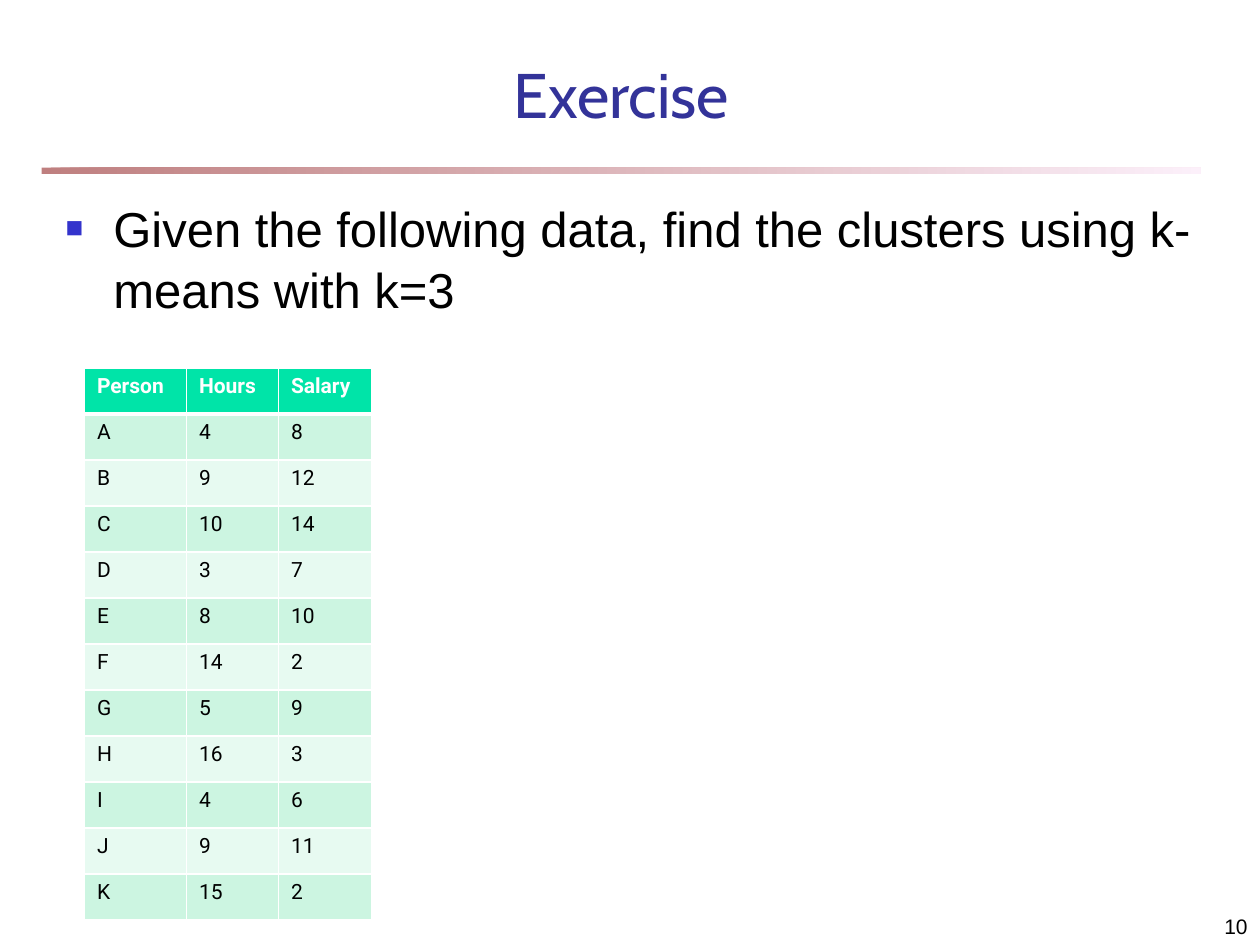
from lxml.etree import SubElement
from pptx import Presentation
from pptx.dml.color import RGBColor
from pptx.enum.shapes import MSO_SHAPE as Shape
from pptx.enum.text import MSO_ANCHOR as Anchor, PP_ALIGN as Align
from pptx.oxml.ns import qn
from pptx.util import Inches, Pt

BLACK = RGBColor(0x00, 0x00, 0x00)
WHITE = RGBColor(0xFF, 0xFF, 0xFF)
TITLE_BLUE = RGBColor(0x33, 0x33, 0x99)
BULLET_BLUE = RGBColor(0x33, 0x33, 0xCC)
RULE_RED = RGBColor(0x80, 0x00, 0x00)
RULE_PINK = RGBColor(0xFA, 0xE2, 0xF6)
HEADER_GREEN = RGBColor(0x00, 0xE4, 0xA8)
BAND_GREENS = (RGBColor(0xE7, 0xFA, 0xF1), RGBColor(0xCC, 0xF5, 0xE1))

ROWS = (
    ("Person", "Hours", "Salary"),
    ("A", 4, 8),
    ("B", 9, 12),
    ("C", 10, 14),
    ("D", 3, 7),
    ("E", 8, 10),
    ("F", 14, 2),
    ("G", 5, 9),
    ("H", 16, 3),
    ("I", 4, 6),
    ("J", 9, 11),
    ("K", 15, 2),
)
COLUMN_WIDTHS = (0.81, 0.73, 0.74)


def place(shape, box):
    """Move a shape to a box of left, top, width and height in inches."""
    shape.left, shape.top, shape.width, shape.height = map(Inches, box)


def add_span(para, text, font, size, color, bold=False):
    """Add one formatted run to a paragraph."""
    span = para.add_run()
    span.text = text
    span.font.name = font
    span.font.size = Pt(size)
    span.font.color.rgb = color
    span.font.bold = bold


def add_rule(page, box):
    """Draw the half-transparent gradient bar under the title."""
    bar = page.shapes.add_shape(Shape.RECTANGLE, *map(Inches, box))
    bar.shadow.inherit = False
    bar.line.fill.background()
    bar.fill.gradient()
    bar.fill.gradient_angle = 0
    for stop, color, position in zip(
        bar.fill.gradient_stops, (RULE_RED, RULE_PINK), (0, 1)
    ):
        stop.color.rgb = color
        stop.position = position
    for color in bar.element.spPr.iter(qn("a:srgbClr")):
        SubElement(color, qn("a:alpha"), val="50000")


def fill_title(page, box):
    """Fill the title placeholder."""
    title = page.shapes.title
    place(title, box)
    frame = title.text_frame
    frame.vertical_anchor = Anchor.BOTTOM
    para = frame.paragraphs[0]
    para.alignment = Align.CENTER
    add_span(para, "Exercise", "Cabin", 36, TITLE_BLUE)


def fill_body(page, box):
    """Fill the body placeholder with its square-bulleted task."""
    body = page.placeholders[1]
    place(body, box)
    para = body.text_frame.paragraphs[0]
    para.line_spacing = 1.05
    para.space_before = Pt(5.6)
    add_span(
        para,
        "Given the following data, find the clusters using k-means with k=3",
        "Arial", 28, BLACK,
    )
    props = para._p.get_or_add_pPr()
    props.set("marL", str(Inches(0.38)))
    props.set("indent", str(-Inches(0.38)))
    bullet_color = SubElement(props, qn("a:buClr"))
    SubElement(bullet_color, qn("a:srgbClr"), val=str(BULLET_BLUE))
    SubElement(props, qn("a:buSzPct"), val="60000")
    SubElement(props, qn("a:buFont"), typeface="Arial")
    SubElement(props, qn("a:buChar"), char="■")


def add_border(cell, side, width):
    """Give one side of a cell a white line."""
    props = cell._tc.get_or_add_tcPr()
    line = SubElement(props, qn(f"a:ln{side}"), w=str(Pt(width)))
    fill = SubElement(line, qn("a:solidFill"))
    SubElement(fill, qn("a:srgbClr"), val=str(WHITE))


def add_data_table(page, box):
    """Add the banded table of persons, hours and salaries."""
    table = page.shapes.add_table(
        len(ROWS), len(COLUMN_WIDTHS), *map(Inches, box)
    ).table
    for column, width in zip(table.columns, COLUMN_WIDTHS):
        column.width = Inches(width)
    for row, values in enumerate(ROWS):
        header = row == 0
        table.rows[row].height = Inches(box[3] / len(ROWS))
        for column, value in enumerate(values):
            cell = table.cell(row, column)
            for side in "LRTB":
                heavy = (side == "B" and header) or (side == "T" and row == 1)
                add_border(cell, side, 3 if heavy else 1)
            cell.fill.solid()
            cell.fill.fore_color.rgb = HEADER_GREEN if header else BAND_GREENS[row % 2]
            para = cell.text_frame.paragraphs[0]
            para.alignment = Align.LEFT
            add_span(para, str(value), "Roboto", 12, WHITE if header else BLACK, header)


def add_page_number(page, box):
    """Add the page number in the lower right corner."""
    frame = page.shapes.add_textbox(*map(Inches, box)).text_frame
    frame.word_wrap = True
    frame.vertical_anchor = Anchor.BOTTOM
    para = frame.paragraphs[0]
    para.alignment = Align.RIGHT
    add_span(para, "10", "Arial", 12, BLACK)


def main():
    """Build and save the one-page deck."""
    deck = Presentation()
    deck.slide_width, deck.slide_height = Inches(10), Inches(7.5)
    page = deck.slides.add_slide(deck.slide_layouts[1])
    add_rule(page, (0.33, 1.33, 9.2, 0.05))
    fill_title(page, (0.67, 0.42, 8.52, 0.67))
    fill_body(page, (0.42, 1.5, 9.17, 5.58))
    add_page_number(page, (7.92, 7.08, 2.08, 0.42))
    add_data_table(page, (0.67, 2.92, sum(COLUMN_WIDTHS), 4.38))
    deck.save("out.pptx")


if __name__ == "__main__":
    main()
